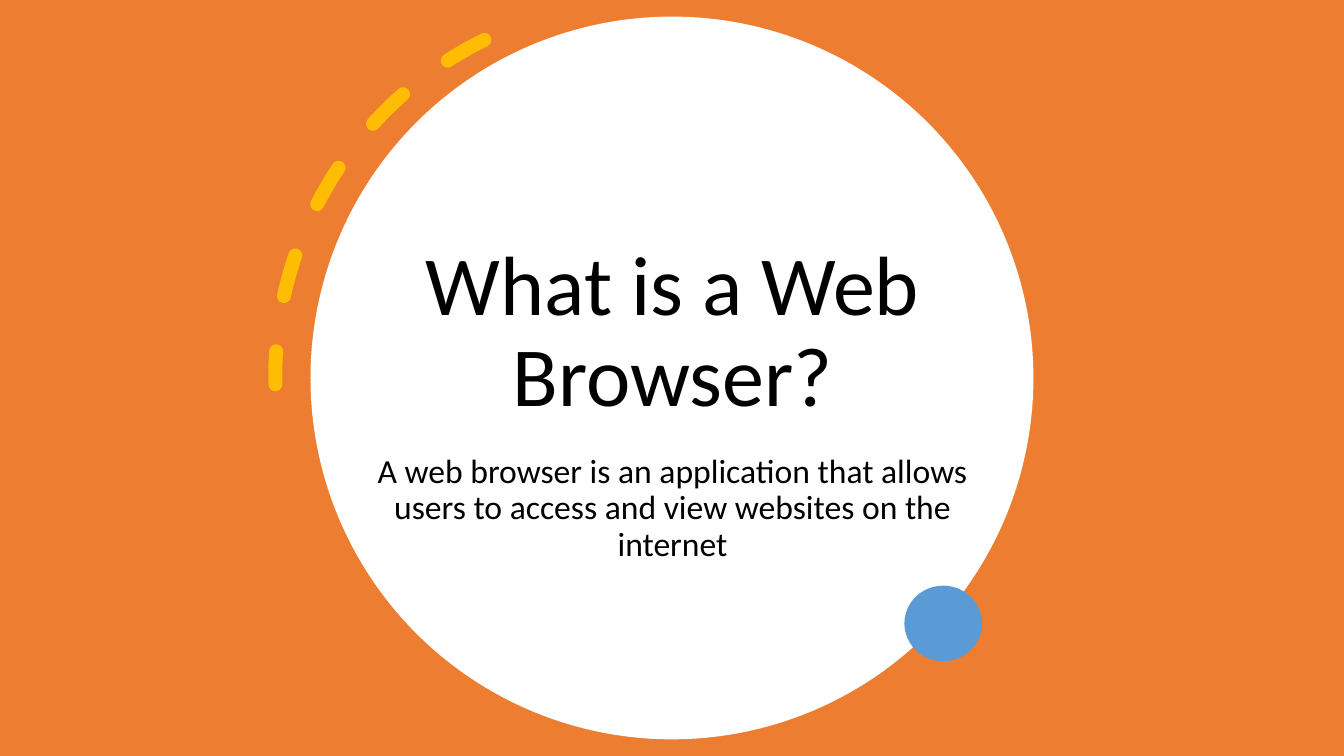
from dataclasses import dataclass

from lxml import etree
from pptx import Presentation
from pptx.dml.color import RGBColor
from pptx.enum.dml import MSO_LINE
from pptx.enum.shapes import MSO_SHAPE
from pptx.enum.text import MSO_ANCHOR, MSO_AUTO_SIZE, PP_ALIGN
from pptx.oxml.ns import qn
from pptx.util import Inches, Pt

RECTANGLE, OVAL, ARC = MSO_SHAPE.RECTANGLE, MSO_SHAPE.OVAL, MSO_SHAPE.ARC
DASH = MSO_LINE.DASH
TOP, BOTTOM = MSO_ANCHOR.TOP, MSO_ANCHOR.BOTTOM
NO_AUTOFIT = MSO_AUTO_SIZE.NONE
CENTER = PP_ALIGN.CENTER
TITLE_ONLY = 5


@dataclass(frozen=True)
class Theme:
    """Colours, font and type sizes of the slide."""
    orange: str = "ED7D31"
    white: str = "FFFFFF"
    black: str = "000000"
    gold: str = "FFC000"
    blue: str = "5B9BD5"
    font: str = "Calibri"
    title_size: int = 60
    body_size: int = 24
    arc_width: int = 10


THEME = Theme()


def add_filled(slide, kind, box, color):
    """Add a borderless shape of one colour."""
    shape = slide.shapes.add_shape(kind, *map(Inches, box))
    shape.shadow.inherit = False
    shape.fill.solid()
    shape.fill.fore_color.rgb = RGBColor.from_string(color)
    shape.line.fill.background()
    return shape


def add_dashed_arc(slide, box):
    """Add the gold arc with round dashes around the disc."""
    arc = slide.shapes.add_shape(ARC, *map(Inches, box))
    arc.shadow.inherit = False
    arc.adjustments[0], arc.adjustments[1] = 162, 200.93
    arc.rotation = 153.7
    arc.element.spPr.find(qn("a:xfrm")).set("flipV", "1")
    arc.fill.background()
    arc.line.color.rgb = RGBColor.from_string(THEME.gold)
    arc.line.width = Pt(THEME.arc_width)
    arc.line.dash_style = DASH
    line = arc.element.spPr.find(qn("a:ln"))
    line.set("cap", "rnd")
    color = line.find(qn("a:solidFill")).find(qn("a:srgbClr"))
    etree.SubElement(color, qn("a:alpha")).set("val", "95000")


def write_text(shape, text, size, anchor):
    """Write one centred paragraph into a shape."""
    frame = shape.text_frame
    frame.word_wrap = True
    frame.auto_size = NO_AUTOFIT
    frame.vertical_anchor = anchor
    paragraph = frame.paragraphs[0]
    paragraph.alignment = CENTER
    paragraph.line_spacing = 0.9
    run = paragraph.add_run()
    run.text = text
    run.font.name = THEME.font
    run.font.size = Pt(size)
    run.font.color.rgb = RGBColor.from_string(THEME.black)


def add_backdrop(slide, box):
    """Fill the box with orange and centre the white disc in it."""
    left, top, width, height = box
    diameter = 7.17
    add_filled(slide, RECTANGLE, box, THEME.orange)
    disc = (left + (width - diameter) / 2, top + (height - diameter) / 2,
            diameter, diameter)
    add_filled(slide, OVAL, disc, THEME.white)


def add_message(slide, box):
    """Place the title and, below it, the definition."""
    left, top, width, height = box
    title_height, body_height = 2.75, 1.68
    title = slide.shapes.title
    title.left, title.top = Inches(left), Inches(top)
    title.width, title.height = Inches(width), Inches(title_height)
    write_text(title, "What is a Web Browser?", THEME.title_size, BOTTOM)
    body = slide.shapes.add_textbox(
        Inches(left), Inches(top + height - body_height),
        Inches(width), Inches(body_height))
    write_text(body, "A web browser is an application that allows users to "
               "access and view websites on the internet",
               THEME.body_size, TOP)


def add_accents(slide, box):
    """Place the dashed arc on the box and the blue dot at its lower right."""
    left, top, _, _ = box
    add_dashed_arc(slide, box)
    add_filled(slide, OVAL, (left + 6.24, top + 5.8, 0.77, 0.75), THEME.blue)


def main():
    """Build the slide and save it."""
    presentation = Presentation()
    presentation.slide_width = Inches(13.33)
    presentation.slide_height = Inches(7.5)
    layout = presentation.slide_layouts[TITLE_ONLY]
    slide = presentation.slides.add_slide(layout)
    add_backdrop(slide, (0, 0, 13.33, 7.5))
    title = slide.shapes.title.element
    title.getparent().append(title)
    add_message(slide, (3.63, 1.51, 6.08, 4.63))
    add_accents(slide, (2.73, 0.01, 7.45, 7.45))
    presentation.save("out.pptx")


if __name__ == "__main__":
    main()
